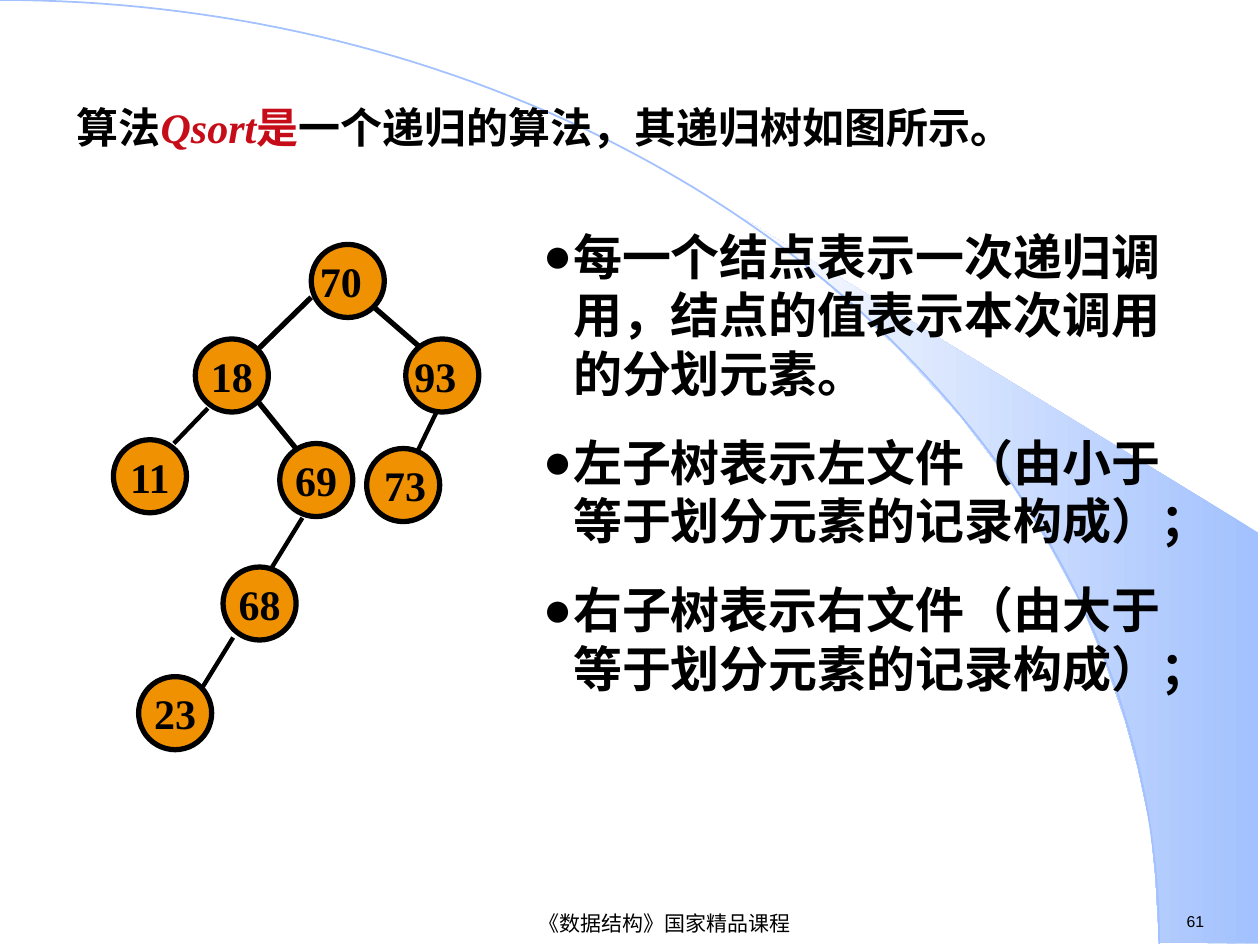
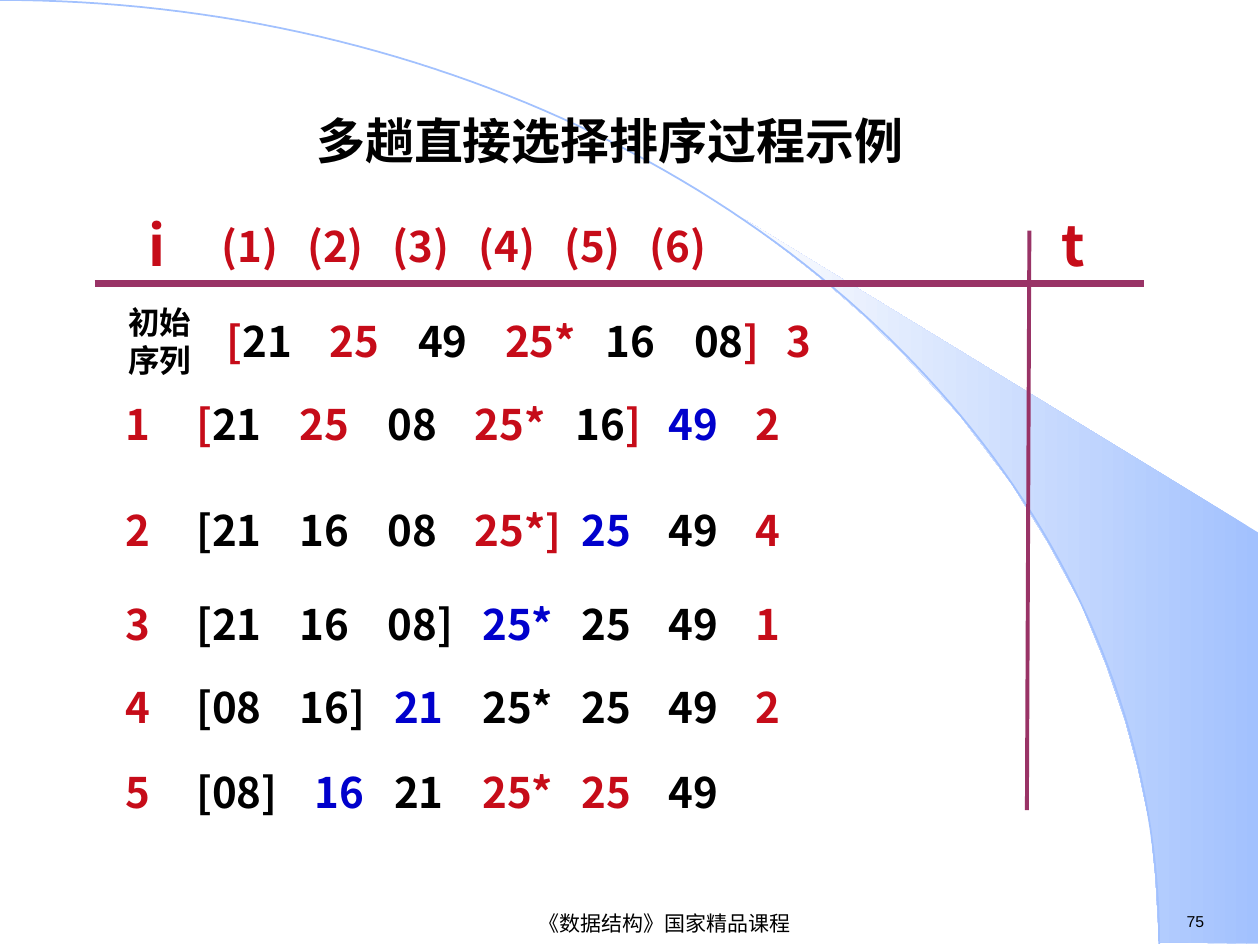
from math import cos, pi, sin

from lxml.etree import SubElement
from pptx import Presentation
from pptx.dml.color import RGBColor
from pptx.enum.shapes import MSO_CONNECTOR as CONNECTOR, MSO_SHAPE as SHAPE
from pptx.enum.text import MSO_ANCHOR as ANCHOR, PP_ALIGN as ALIGN
from pptx.oxml.ns import qn
from pptx.util import Inches, Pt

COLORS = {
    "black": "000000", "red": "C60C19", "blue": "0000CC", "plum": "993366",
    "orange": "EF9100", "sky": "A2C1FE", "pale": "FEFEFE",
}
CODES = {"K": "black", "R": "red", "B": "blue"}
SANS, SERIF, CJK = "Arial", "Times New Roman", "Noto Sans CJK SC"
WIDTH, HEIGHT = 10, 7.5
ARC_X, ARC_Y = 0.92 * WIDTH, 7.49

WEDGE = [
    (9.2, 7.48), (9.99, 7.49), (9.99, 4.23), (5.89, 1.73), (6.24, 1.99),
    (6.53, 2.22), (6.85, 2.5), (7.16, 2.8), (7.62, 3.3), (8.03, 3.84),
    (8.32, 4.31), (8.58, 4.79), (8.78, 5.28), (8.93, 5.72), (9.03, 6.09),
    (9.13, 6.56), (9.17, 6.96),
]

# Tree nodes: value, left, top, and the shift of a label set in its own box
NODE_SIZE = 0.58
NODES = [
    ("73", 2.91, 3.56, 0.04), ("70", 2.47, 1.94, -0.03),
    ("93", 3.22, 2.69, -0.03), ("18", 1.55, 2.69, None),
    ("69", 2.22, 3.52, None), ("68", 1.77, 4.5, None),
    ("23", 1.1, 5.37, None), ("11", 0.9, 3.49, None),
]
UPPER_EDGES = [
    ((2.05, 3.19), (2.39, 3.61)), ((2.97, 2.44), (3.35, 2.77)),
    ((2.47, 2.36), (2.05, 2.77)),
]
LOWER_EDGES = [
    ((1.65, 3.24), (1.38, 3.52)), ((2.4, 4.11), (2.16, 4.5)),
    ((1.85, 5.06), (1.61, 5.45)), ((3.46, 3.28), (3.31, 3.59)),
]
TREE_NOTES = [
    "每一个结点表示一次递归调用，结点的值表示本次调用的分划元素。",
    "左子树表示左文件（由小于等于划分元素的记录构成）；",
    "右子树表示右文件（由大于等于划分元素的记录构成）；",
]

# Cells are split by blanks, differently coloured parts of a cell by "+"
PASSES = [
    (3.08, "R1 R[+K21 R25 K08 R25* K16+R] B49 R2"),
    (3.92, "R2 K[21 K16 K08 R25*] B25 K49 R4"),
    (4.67, "R3 K[21 K16 K08] B25* K25 K49 R1"),
    (5.33, "R4 K[08 K16] B21 K25* K25 K49 R2"),
    (6, "R5 K[08] B16 K21 R25* R25 K49"),
]
INITIAL_ROW = "R[+K21 R25 K49 R25* K16 K08+R] R3"
LABEL_STOP = 0.15
OPEN_STOPS = [0.71, 1.53, 2.23, 2.92, 3.72, 4.42, 5.15]
SORTED_STOPS = [0.71, 1.65, 2.28, 2.98, 3.77, 4.46, 5.15]


def rgb(name):
    return RGBColor.from_string(COLORS[name])


def style_run(run, size, color="black", font=CJK, bold=True, italic=False):
    run.font.size = Pt(size)
    run.font.bold = bold
    run.font.italic = italic
    run.font.color.rgb = rgb(color)
    run.font.name = font
    SubElement(run._r.get_or_add_rPr(), qn("a:ea"), typeface=CJK)


def add_runs(paragraph, parts, size, **style):
    """Add (text, color) parts as runs of one paragraph."""
    for text, color in parts:
        run = paragraph.add_run()
        run.text = text
        style_run(run, size, color, **style)


def add_box(slide, left, top, width, height, wrap=True, anchor=ANCHOR.TOP):
    box = slide.shapes.add_textbox(
        Inches(left), Inches(top), Inches(width), Inches(height))
    frame = box.text_frame
    frame.word_wrap = wrap
    frame.vertical_anchor = anchor
    return frame


def add_label(slide, place, parts, size, leading=None, align=ALIGN.LEFT,
              wrap=True, anchor=ANCHOR.TOP, **style):
    """Add a one-paragraph box; leading is the line height in ems."""
    paragraph = add_box(slide, *place, wrap, anchor).paragraphs[0]
    paragraph.alignment = align
    if leading:
        paragraph.line_spacing = Pt(leading * size)
    add_runs(paragraph, parts, size, **style)
    return paragraph


def set_tabs(paragraph, stops):
    tabs = SubElement(paragraph._p.get_or_add_pPr(), qn("a:tabLst"))
    for stop in stops:
        SubElement(tabs, qn("a:tab"), pos=str(Inches(stop)), algn="l")


def set_bullet(paragraph, indent):
    properties = paragraph._p.get_or_add_pPr()
    properties.set("marL", str(Inches(indent)))
    properties.set("indent", str(-Inches(indent)))
    SubElement(properties, qn("a:buFont"), typeface=SANS)
    SubElement(properties, qn("a:buChar"), char="●")


def add_line(slide, start, end, color, width):
    line = slide.shapes.add_connector(
        CONNECTOR.STRAIGHT, *(Inches(value) for value in (*start, *end)))
    line.line.color.rgb = rgb(color)
    line.line.width = Pt(width)
    SubElement(line._element.spPr, qn("a:effectLst"))


def add_outline(slide, points, close):
    corners = [(Inches(x), Inches(y)) for x, y in points]
    builder = slide.shapes.build_freeform(*corners[0])
    builder.add_line_segments(corners[1:], close=close)
    shape = builder.convert_to_shape()
    shape.shadow.inherit = False
    return shape


def add_backdrop(slide):
    wedge = add_outline(slide, WEDGE, True)
    wedge.line.fill.background()
    wedge.fill.gradient()
    wedge.fill.gradient_angle = 180
    for stop, color in zip(wedge.fill.gradient_stops, ("sky", "pale")):
        stop.color.rgb = rgb(color)
    steps = 90
    angles = [pi / 2 * step / steps for step in range(steps + 1)]
    arc = add_outline(
        slide, [(ARC_X * sin(a), ARC_Y * (1 - cos(a))) for a in angles], False)
    arc.fill.background()
    arc.line.color.rgb = rgb("sky")
    arc.line.width = Pt(1)


def add_lecture_slide(presentation, number):
    slide = presentation.slides.add_slide(presentation.slide_layouts[6])
    add_backdrop(slide)
    add_label(slide, (9.32, 7.19, 0.77, 0.25), [(number, "black")], 9,
              wrap=False, font=SANS, bold=False)
    add_label(slide, (2.4, 7.21, 5.75, 0.24),
              [("《数据结构》国家精品课程", "black")], 12, align=ALIGN.CENTER,
              wrap=False, anchor=ANCHOR.MIDDLE, font=SANS, bold=False)
    return slide


def add_node(slide, value, left, top, label_shift):
    node = slide.shapes.add_shape(
        SHAPE.OVAL, Inches(left), Inches(top),
        Inches(NODE_SIZE), Inches(NODE_SIZE))
    node.shadow.inherit = False
    node.fill.solid()
    node.fill.fore_color.rgb = rgb("orange")
    node.line.color.rgb = rgb("black")
    node.line.width = Pt(3)
    parts = [(value, "black")]
    if label_shift is None:
        frame = node.text_frame
        frame.word_wrap = False
        frame.vertical_anchor = ANCHOR.MIDDLE
        frame.paragraphs[0].alignment = ALIGN.CENTER
        add_runs(frame.paragraphs[0], parts, 24, font=SERIF)
    else:
        add_label(slide, (left + label_shift, top + 0.04, 0.53, 0.5), parts,
                  24, wrap=False, font=SERIF)


def add_notes_list(slide, notes):
    frame = add_box(slide, 4.21, 1.75, 5.12, 4.79)
    frame.text = "\n".join(notes)
    for index, paragraph in enumerate(frame.paragraphs):
        set_bullet(paragraph, 0.24)
        paragraph.line_spacing = Pt(33.4)
        if index:
            paragraph.space_before = Pt(17.5)
        style_run(paragraph.runs[0], 28)


def add_pass_row(slide, left, top, width, cells, stops, shift=0):
    """Set one sorting pass on tab stops; cells after "]" use sorted stops."""
    used, parts, closed = list(stops), [], False
    for index, cell in enumerate(cells, start=-len(stops)):
        if index >= 0:
            used.append((SORTED_STOPS if closed else OPEN_STOPS)[index] - shift)
        closed = closed or "]" in cell
        for part_index, part in enumerate(cell.split("+")):
            gap = "" if part_index else "\t"
            parts.append((gap + part[1:], CODES[part[0]]))
    paragraph = add_label(slide, (left, top, width, 0.5), parts, 24, 1.3)
    set_tabs(paragraph, used)


def build_recursion_tree(presentation):
    slide = add_lecture_slide(presentation, "61")
    paragraph = add_label(slide, (0.51, 0.76, 7.87, 0.63),
                          [("算法", "black"), ("Qsort", "red"), ("是", "red"),
                           ("一个递归的算法，其递归树如图所示。", "black")],
                          24, 1.18, font=SERIF)
    paragraph.runs[1].font.italic = True
    for edges, width in ((UPPER_EDGES, 3), (LOWER_EDGES, 2.5)):
        for start, end in edges:
            add_line(slide, start, end, "black", width)
    for node in NODES:
        add_node(slide, *node)
    add_notes_list(slide, TREE_NOTES)


def build_selection_sort(presentation):
    slide = add_lecture_slide(presentation, "75")
    add_label(slide, (0.51, 0.76, 8.66, 0.84),
              [("多趟直接选择排序过程示例", "black")], 28, 1.38,
              align=ALIGN.CENTER, font=SERIF)
    positions = "".join(f"\t({number})" for number in range(1, 7))
    header = add_label(slide, (1.29, 1.67, 6.88, 0.5), [(positions, "red")],
                       24, 1.3)
    set_tabs(header, [0.37 + 0.68 * column for column in range(6)])
    for left, letter in ((1.08, "i"), (8.33, "t")):
        add_label(slide, (left, 1.58, 0.5, 0.64), [(letter, "red")], 32, 1.3)
    add_line(slide, (0.75, 2.25), (9.08, 2.25), "plum", 4.5)
    add_line(slide, (8.17, 1.83), (8.15, 6.43), "plum", 2.25)
    add_label(slide, (0.92, 2.36, 0.83, 0.7), [("初始序列", "black")], 18, 1.19)
    add_pass_row(slide, 1.42, 2.42, 7.5, INITIAL_ROW.split(), [], shift=0.43)
    for top, cells in PASSES:
        add_pass_row(slide, 0.75, top, 8.25, cells.split(), [LABEL_STOP])


def main():
    presentation = Presentation()
    presentation.slide_width = Inches(WIDTH)
    presentation.slide_height = Inches(HEIGHT)
    build_recursion_tree(presentation)
    build_selection_sort(presentation)
    presentation.save("out.pptx")


if __name__ == "__main__":
    main()
